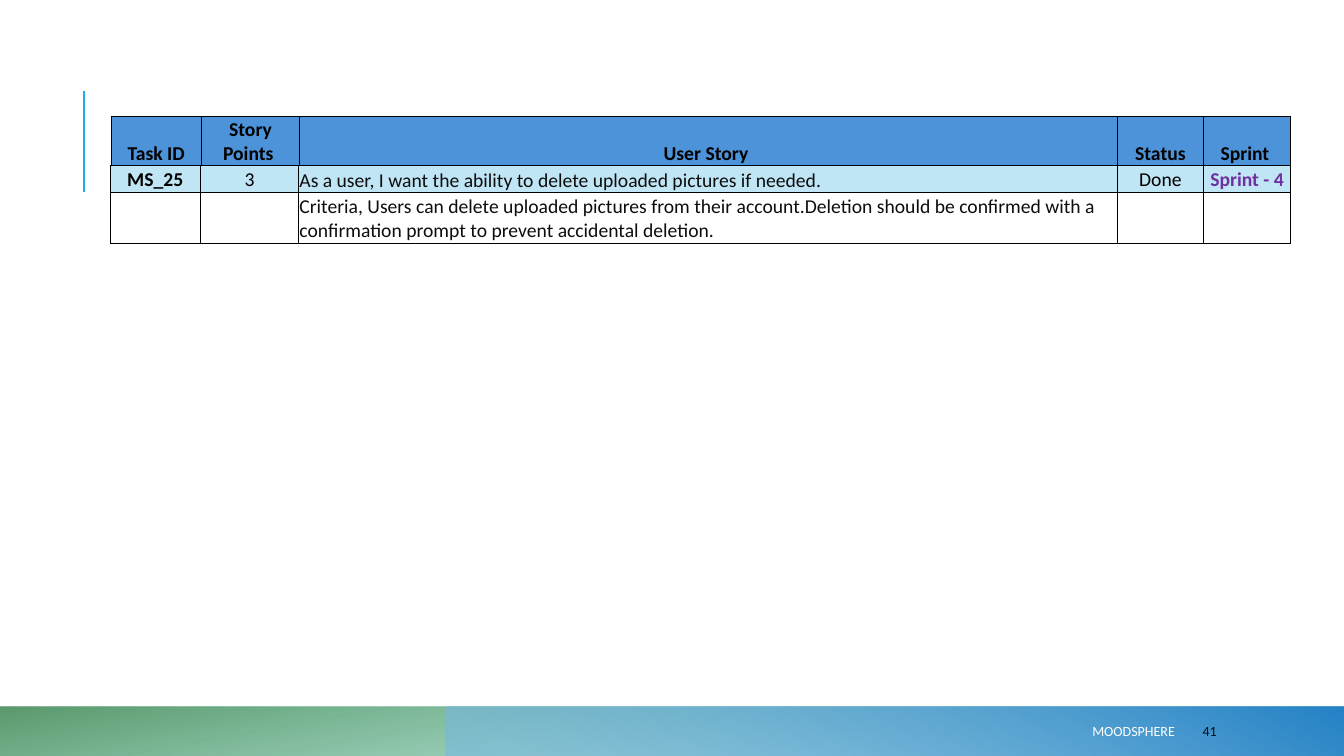
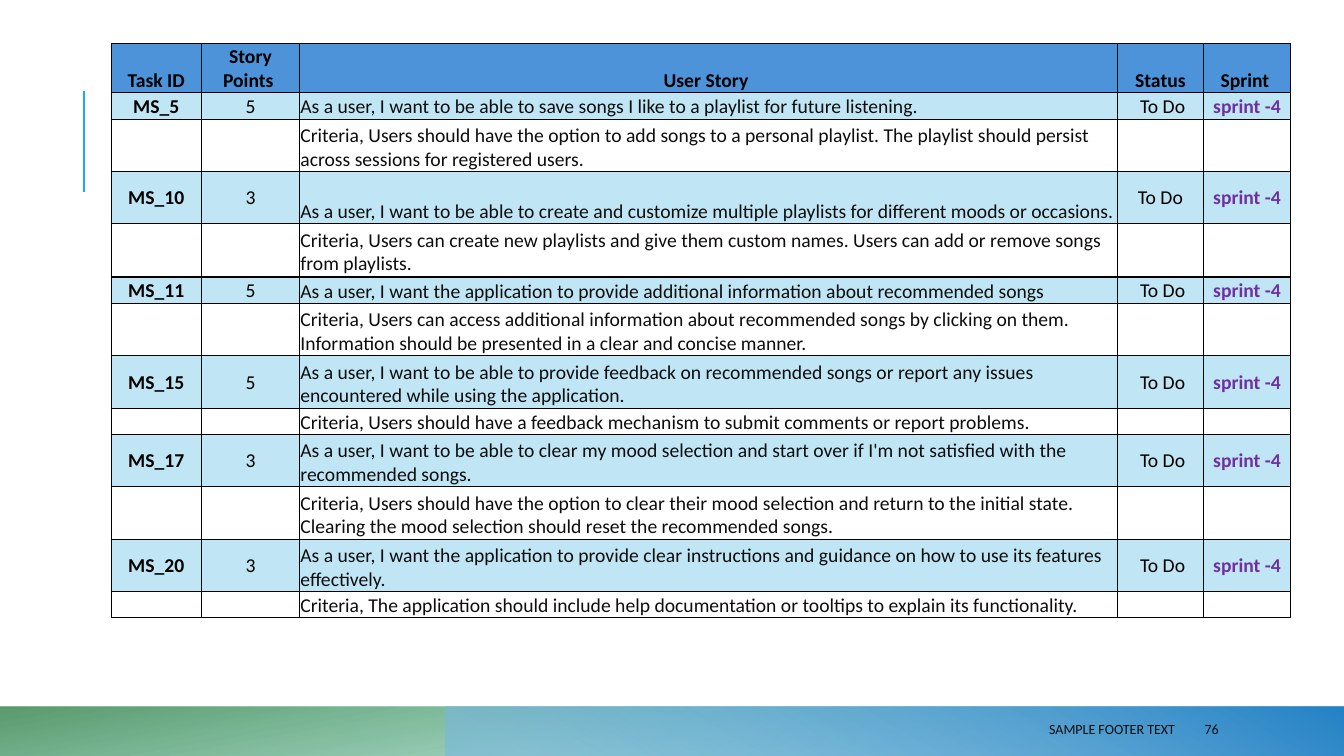
import pptx
import pptx.util
import pptx.dml.color
import pptx.enum.shapes
import pptx.enum.text
import pptx.oxml
import pptx.oxml.ns
from dataclasses import dataclass

Inches = pptx.util.Inches
Pt = pptx.util.Pt
RGB = pptx.dml.color.RGBColor.from_string
Align = pptx.enum.text.PP_ALIGN
Anchor = pptx.enum.text.MSO_ANCHOR
qn = pptx.oxml.ns.qn
NS = pptx.oxml.ns.nsdecls("a")


@dataclass(frozen=True)
class Theme:
    font: str = "Calibri"
    body: int = 14
    small: int = 10
    black: str = "000000"
    ink: str = "0D0D0D"
    white: str = "FFFFFF"
    head: str = "4D93D9"
    tint: str = "C0E6F5"
    sprint: str = "7030A0"
    rule: str = "1CADE4"
    # stops: place, colour, opacity in percent
    green: tuple = ((14, "42BA97", 28), (100, "3E8853", 85))
    blue: tuple = ((9, "75B6E5", 55), (99, "2683C6", 100))


T = Theme()
HEADS = ("Task ID", "Story Points ", "User Story ", "Status", "Sprint ")
HEAD_H, LOW, TALL = 0.49, 0.26, 0.52


def write(para, text, size, color, bold=False):
    run = para.add_run()
    run.text = text
    font = run.font
    font.name, font.size, font.bold = T.font, Pt(size), bold
    font.color.rgb = RGB(color)


# Shared frame: accent rule and bottom band
def band(slide, left, top, width, height, stops, angle):
    bar = slide.shapes.add_shape(
        pptx.enum.shapes.MSO_SHAPE.RECTANGLE,
        Inches(left), Inches(top), Inches(width), Inches(height))
    bar.shadow.inherit = False
    bar.line.fill.background()
    bar.fill.gradient()
    bar.fill.gradient_angle = angle
    for stop, (place, color, _) in zip(bar.fill.gradient_stops, stops):
        stop.position = place / 100
        stop.color.rgb = RGB(color)
    tones = bar._element.spPr.iter(qn("a:srgbClr"))
    for tone, (_, _, alpha) in zip(tones, stops):
        tone.append(pptx.oxml.parse_xml(
            f'<a:alpha {NS} val="{alpha * 1000}"/>'))


def frame(slide):
    rule = slide.shapes.add_connector(
        pptx.enum.shapes.MSO_CONNECTOR.STRAIGHT,
        Inches(0.83), Inches(1.9), Inches(0.83), Inches(0.9))
    rule.line.color.rgb = RGB(T.rule)
    rule.line.width = Pt(1.5)
    rule._element.spPr.append(pptx.oxml.parse_xml(f"<a:effectLst {NS}/>"))
    band(slide, 0, 7.01, 13.33, 0.5, T.green, 100)
    band(slide, 4.42, 7.01, 8.92, 0.5, T.blue, 60)


# Footer text and page number
def label(slide, box, text, color, align):
    shape = slide.shapes.add_textbox(*map(Inches, box))
    frm = shape.text_frame
    frm.word_wrap = True
    frm.vertical_anchor = Anchor.MIDDLE
    para = frm.paragraphs[0]
    para.alignment = align
    write(para, text, T.small, color)


def footer(slide, top, text, color, page, left):
    label(slide, (5.3, top, 6.45, 0.3), text, color, Align.RIGHT)
    label(slide, (left, top, 1.06, 0.3), page, T.ink, Align.LEFT)


# Tables
def style(cell, fill, anchor):
    cell.margin_left = cell.margin_right = cell.margin_top = Inches(0.01)
    cell.margin_bottom = 0
    cell.vertical_anchor = anchor
    props = cell._tc.get_or_add_tcPr()
    for side in "LRTB":
        props.append(pptx.oxml.parse_xml(
            f'<a:ln{side} {NS} w="6350"><a:solidFill><a:srgbClr val="{T.black}"/>'
            f'</a:solidFill></a:ln{side}>'))
    if fill:
        cell.fill.solid()
        cell.fill.fore_color.rgb = RGB(fill)
    else:
        cell.fill.background()


def fill_row(row, texts, fill, looks, middle):
    for col, (cell, text) in enumerate(zip(row.cells, texts)):
        story = col == 2
        style(cell, fill, Anchor.BOTTOM if story else middle)
        para = cell.text_frame.paragraphs[0]
        color, bold, align = looks[col]
        para.alignment = align
        if text:
            write(para, text, T.body, color, bold)
        else:
            para._p.append(pptx.oxml.parse_xml(
                f'<a:endParaRPr {NS} sz="{T.body * 100}"/>'))


def grid(slide, left, top, wide, highs):
    cols = (0.9, 0.97, wide, 0.86, 0.86)
    table = slide.shapes.add_table(
        len(highs), len(cols), Inches(left), Inches(top),
        Inches(sum(cols)), Inches(sum(highs))).table
    table.first_row = table.horz_banding = False
    for col, width in zip(table.columns, cols):
        col.width = Inches(width)
    for row, high in zip(table.rows, highs):
        row.height = Inches(high)
    return table


def header(slide, left, top):
    table = grid(slide, left, top, 8.11, [HEAD_H])
    looks = [(T.black, True, Align.CENTER)] * len(HEADS)
    fill_row(table.rows[0], HEADS, T.head, looks, Anchor.BOTTOM)


def stories(slide, left, top, wide, items):
    """Each item: id, points, story, status, sprint, criteria, two heights."""
    highs = [high for item in items for high in item[6:]]
    table = grid(slide, left, top, wide, highs)
    looks = ((T.black, True, Align.CENTER), (T.black, False, Align.CENTER),
             (T.ink, False, Align.LEFT), (T.black, False, Align.CENTER),
             (T.sprint, True, Align.CENTER))
    for num, item in enumerate(items):
        fill_row(table.rows[2 * num], item[:5], T.tint, looks, Anchor.MIDDLE)
        fill_row(table.rows[2 * num + 1], ("", "", item[5], "", ""),
                 None, looks, Anchor.MIDDLE)


DONE = [
    ("MS_25", "3",
     "As a user, I want the ability to delete uploaded pictures if needed.",
     "Done", "Sprint - 4",
     "Criteria, Users can delete uploaded pictures from their account."
     "Deletion should be confirmed with a confirmation prompt to prevent "
     "accidental deletion.", 0.27, 0.5),
]
LISTS = [
    ("MS_5", "5",
     "As a user, I want to be able to save songs I like to a playlist for "
     "future listening.", " To Do", "sprint -4",
     "Criteria, Users should have the option to add songs to a personal "
     "playlist. The playlist should persist across sessions for registered "
     "users.", LOW, TALL),
    ("MS_10", "3",
     "As a user, I want to be able to create and customize multiple playlists "
     "for different moods or occasions.", " To Do ", "sprint -4",
     "Criteria, Users can create new playlists and give them custom names. "
     "Users can add or remove songs from playlists.", TALL, TALL),
]
EXTRAS = [
    ("MS_11", "5",
     "As a user, I want the application to provide additional information "
     "about recommended songs ", " To Do", "sprint -4",
     "Criteria, Users can access additional information about recommended "
     "songs by clicking on them. Information should be presented in a clear "
     "and concise manner.", LOW, TALL),
    ("MS_15", "5",
     "As a user, I want to be able to provide feedback on recommended songs "
     "or report any issues encountered while using the application.",
     " To Do", "sprint -4",
     "Criteria, Users should have a feedback mechanism to submit comments or "
     "report problems.", TALL, LOW),
    ("MS_17", "3",
     "As a user, I want to be able to clear my mood selection and start over "
     "if I'm not satisfied with the recommended songs.",
     " To Do", "sprint -4",
     "Criteria, Users should have the option to clear their mood selection "
     "and return to the initial state. Clearing the mood selection should "
     "reset the recommended songs.", TALL, TALL),
    ("MS_20", "3",
     "As a user, I want the application to provide clear instructions and "
     "guidance on how to use its features effectively.",
     " To Do", "sprint -4",
     "Criteria, The application should include help documentation or tooltips "
     "to explain its functionality.", TALL, LOW),
]


def main():
    deck = pptx.Presentation()
    deck.slide_width, deck.slide_height = Inches(13.33), Inches(7.5)
    blank = deck.slide_layouts[6]

    # Finished story
    slide = deck.slides.add_slide(blank)
    frame(slide)
    footer(slide, 7.1, "MOODSPHERE", T.white, "41", 11.83)
    header(slide, 1.1, 1.15)
    stories(slide, 1.09, 1.64, 8.12, DONE)

    # Open stories
    slide = deck.slides.add_slide(blank)
    frame(slide)
    footer(slide, 7.08, "SAMPLE FOOTER TEXT", T.ink, "76", 11.85)
    header(slide, 1.1, 0.43)
    stories(slide, 1.1, 0.92, 8.11, LISTS)
    stories(slide, 1.1, 2.75, 8.11, EXTRAS)

    deck.save("out.pptx")


if __name__ == "__main__":
    main()
